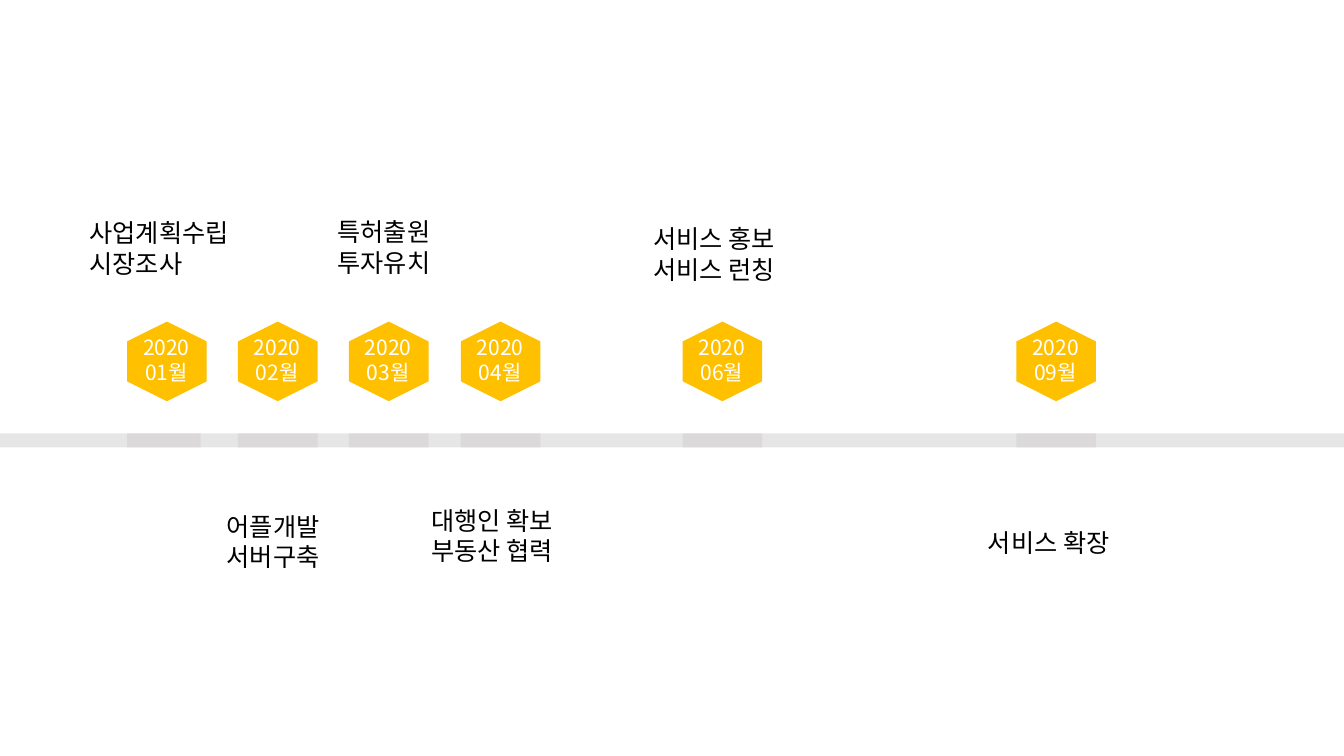
from pptx import Presentation
from pptx.dml.color import RGBColor
from pptx.enum.shapes import MSO_CONNECTOR as Link, MSO_SHAPE as Shape
from pptx.enum.text import MSO_AUTO_SIZE as Fit, PP_ALIGN as Align
from pptx.oxml.ns import qn
from pptx.util import Pt
from lxml.etree import SubElement

PX = 9144  # EMU; 100 px to the inch
WIDE, HIGH = 1333, 750
FONT = "Noto Sans CJK KR"
GOLD = RGBColor(0xFF, 0xC0, 0x00)
GRAY = RGBColor(0xD0, 0xCE, 0xCE)
WHITE = RGBColor(0xFF, 0xFF, 0xFF)
BLACK = RGBColor(0x00, 0x00, 0x00)
SIDE, TOP, AXIS = 79, 319, 437

# month, plan lines, then label left, top, width, height
STEPS = [
    (1, ["사업계획수립", "시장조사"], (79, 211, 172, 71)),
    (2, ["어플개발", "서버구축"], (215, 502, 121, 71)),
    (3, ["특허출원", "투자유치"], (325, 210, 121, 71)),
    (4, ["대행인 확보", "부동산 협력"], (418, 496, 155, 71)),
    (6, ["서비스 홍보", "서비스 런칭"], (638, 217, 155, 71)),
    (9, ["서비스 확장"], (970, 518, 155, 40)),
]
DATE = {"size": Pt(15), "name": FONT}
PLAN = {"size": Pt(18), "name": FONT}


def emu(*nums):
    return [num * PX for num in nums]


def left(month):
    return round(126 + 110.25 * (month - 1))


def add_text(shapes, box, lines, style, color, align=Align.LEFT, wrap=False):
    frame = shapes.add_textbox(*emu(*box)).text_frame
    frame.word_wrap = wrap
    frame.auto_size = Fit.SHAPE_TO_FIT_TEXT
    for i, line in enumerate(lines):
        para = frame.paragraphs[0] if i == 0 else frame.add_paragraph()
        para.alignment = align
        run = para.add_run()
        run.text = line
        for key, value in style.items():
            setattr(run.font, key, value)
        run.font.color.rgb = color
        # Hangul takes the East Asian typeface
        SubElement(run.font._element, qn("a:ea"), typeface=FONT)


def add_track(shapes, start, end):
    """Draw one half-clear stretch of the time axis."""
    track = shapes.add_connector(Link.STRAIGHT, *emu(start, AXIS, end, AXIS))
    track.line.width = Pt(10)
    track.line.color.rgb = GRAY
    tint = track.line._ln.find(".//" + qn("a:srgbClr"))
    SubElement(tint, qn("a:alpha"), val="50000")
    SubElement(track._element.spPr, qn("a:effectLst"))


def add_badge(shapes, month):
    """Group a hexagon with its year and month."""
    group = shapes.add_group_shape().shapes
    x = left(month)
    hexa = group.add_shape(Shape.HEXAGON, *emu(x, TOP, SIDE, SIDE))
    hexa.rotation = 90
    hexa.shadow.inherit = False
    hexa.fill.solid()
    hexa.fill.fore_color.rgb = GOLD
    hexa.line.fill.background()
    add_text(group, (x - 16, 327, 110, 61), ["2020", f"{month:02}월"],
             DATE, WHITE, Align.CENTER, True)


def main():
    deck = Presentation()
    deck.slide_width, deck.slide_height = emu(WIDE, HIGH)
    shapes = deck.slides.add_slide(deck.slide_layouts[6]).shapes

    stops = [left(month) for month, _, _ in STEPS]
    ends = [199] + [x + SIDE for x in stops[1:]] + [WIDE]
    for start, end in zip([0] + stops, ends):
        add_track(shapes, start, end)
    for month, _, _ in STEPS:
        add_badge(shapes, month)
    for _, lines, box in STEPS:
        add_text(shapes, box, lines, PLAN, BLACK)
    deck.save("out.pptx")


if __name__ == "__main__":
    main()
